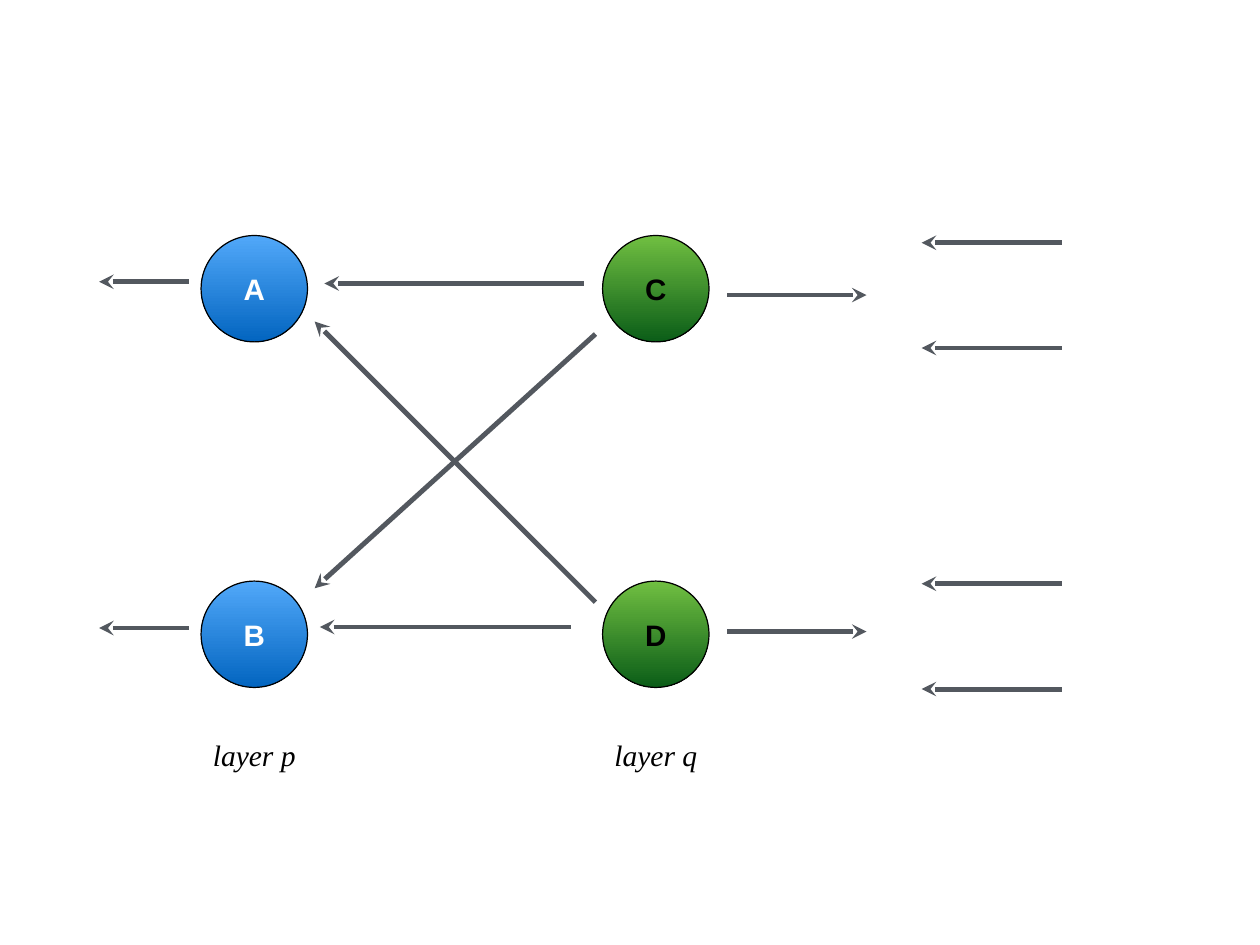
"""Draw a two-layer network whose arrows run back from layer q to layer p."""
from lxml import etree
from pptx import Presentation
from pptx import util as u
from pptx.dml.color import RGBColor
from pptx.enum import shapes, text
from pptx.oxml.ns import qn

HUES = {"arrow": "53585F", "edge": "000000", "dark": "000000", "light": "FFFFFF",
        "sky": "51A8F9", "sea": "0365C0", "leaf": "70BF41", "moss": "0B5D18"}
LAYERS = [
    ("layer p", 7.29, "AB", ("sky", "sea"), "light"),
    ("layer q", 18.8, "CD", ("leaf", "moss"), "dark"),
]
ROWS = (8.28, 18.19)
SIZE = 3.05
LABEL = (21.06, 2.69, 1.19)
LINKS = [
    ((9.17, 17.98), (16.36, 17.98)),
    ((9.02, 9.22), (17.07, 17.27)),
    ((9.3, 8.13), (16.74, 8.13)),
    ((9.02, 16.87), (17.07, 9.58)),
]
FLOWS = [
    (2.84, 5.41, (8.08, 18.01)),
    (24.84, 20.83, (8.46, 18.11)),
    (26.42, 30.43, (6.96, 9.98, 16.74, 19.76)),
]


def hue(name):
    return RGBColor.from_string(HUES[name])


def write(shape, words, face, tint, bold=None, slant=None):
    frame = shape.text_frame
    frame.vertical_anchor = text.MSO_ANCHOR.MIDDLE
    frame.margin_left = frame.margin_right = u.Cm(0.15)
    frame.margin_top = frame.margin_bottom = u.Cm(0.15)
    para = frame.paragraphs[0]
    para.alignment = text.PP_ALIGN.CENTER
    run = para.add_run()
    run.text = words
    font = run.font
    font.name, font.size, font.bold, font.italic = face, u.Pt(24), bold, slant
    font.color.rgb = hue(tint)


def arrow(slide, tip, tail):
    link = slide.shapes.add_connector(
        shapes.MSO_CONNECTOR.STRAIGHT, *(u.Cm(n) for n in (*tip, *tail)))
    link.line.color.rgb = hue("arrow")
    link.line.width = u.Pt(4)
    props = link.element.spPr
    etree.SubElement(props.find(qn("a:ln")), qn("a:headEnd"), type="stealth")
    etree.SubElement(props, qn("a:effectLst"))


def node(slide, name, mid, row, shades, tint):
    ball = slide.shapes.add_shape(
        shapes.MSO_SHAPE.OVAL, u.Cm(mid - SIZE / 2), u.Cm(row - SIZE / 2),
        u.Cm(SIZE), u.Cm(SIZE))
    ball.shadow.inherit = False
    ball.fill.gradient()
    ball.fill.gradient_angle = 270
    for stop, shade in zip(ball.fill.gradient_stops, shades):
        stop.color.rgb = hue(shade)
    ball.line.color.rgb = hue("edge")
    ball.line.width = u.Pt(1)
    write(ball, name, "Arial", tint, bold=True)


def label(slide, words, mid):
    top, wide, high = LABEL
    box = slide.shapes.add_textbox(
        u.Cm(mid - wide / 2), u.Cm(top), u.Cm(wide), u.Cm(high))
    box.text_frame.word_wrap = False
    write(box, words, "Times New Roman", "dark", slant=True)


def main():
    deck = Presentation()
    deck.slide_width, deck.slide_height = u.Cm(36.12), u.Cm(27.1)
    slide = deck.slides.add_slide(deck.slide_layouts[6])
    for tip, tail in LINKS:
        arrow(slide, tip, tail)
    for tip, tail, rows in FLOWS:
        for row in rows:
            arrow(slide, (tip, row), (tail, row))
    for words, mid, names, shades, tint in LAYERS:
        label(slide, words, mid)
        for name, row in zip(names, ROWS):
            node(slide, name, mid, row, shades, tint)
    deck.save("out.pptx")


if __name__ == "__main__":
    main()
